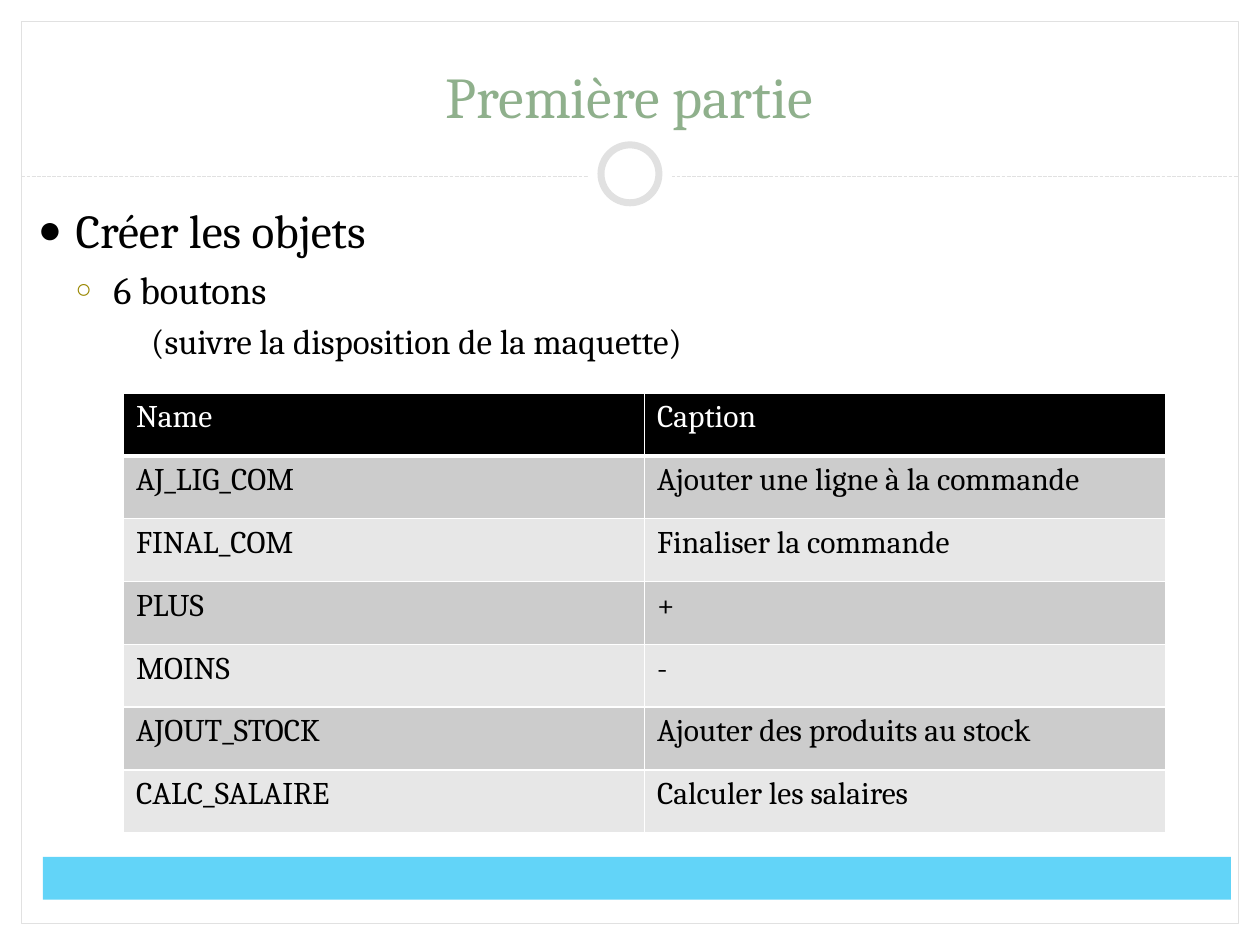
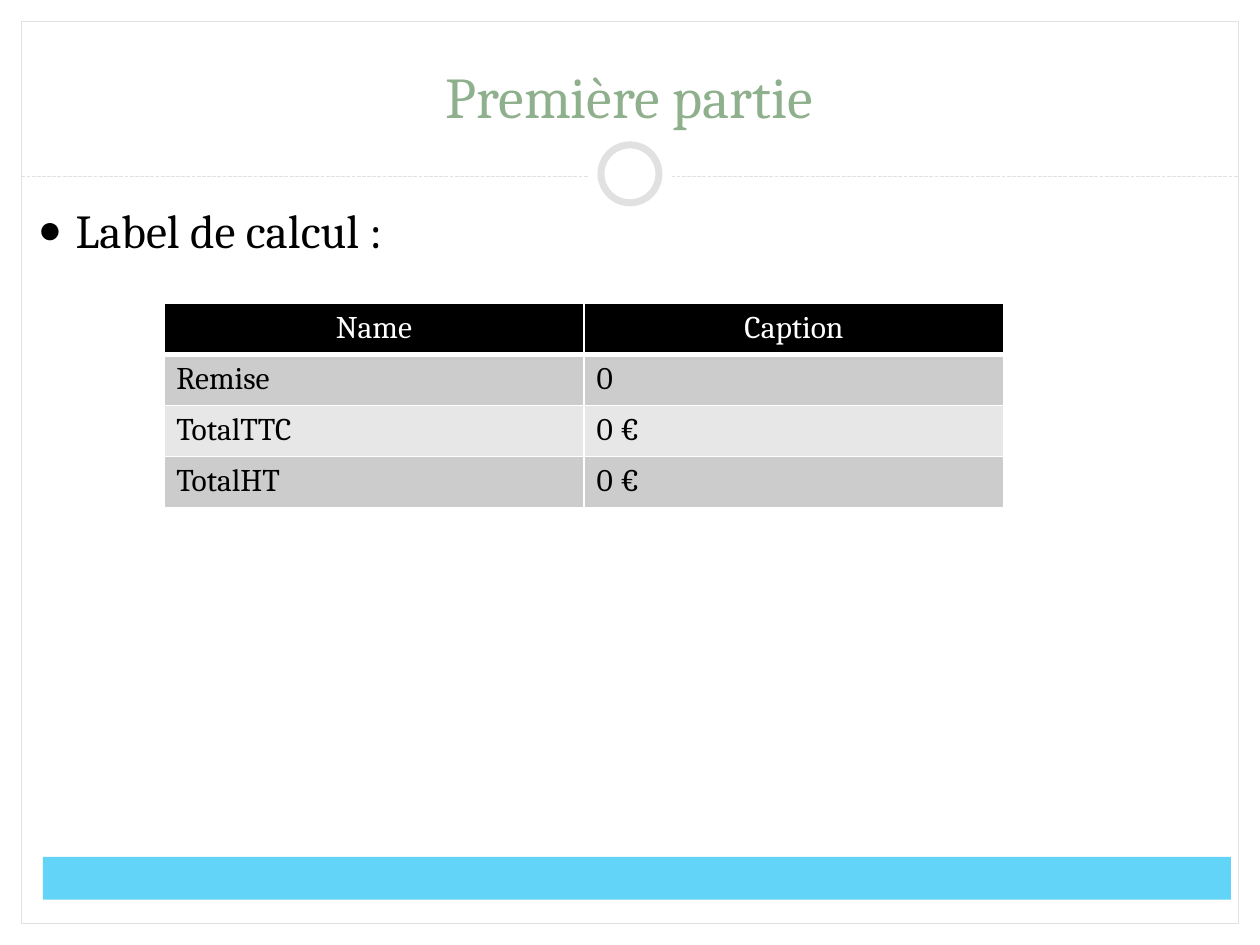
from lxml.etree import SubElement as Sub
from pptx import Presentation
from pptx.dml.color import RGBColor as Rgb
from pptx.enum.dml import MSO_LINE as Dash
from pptx.enum.shapes import MSO_CONNECTOR as Link, MSO_SHAPE as Form
from pptx.enum.text import MSO_ANCHOR as Anchor, MSO_AUTO_SIZE as Fit, PP_ALIGN as Align
from pptx.oxml.ns import qn
from pptx.util import Inches, Pt

FONT = "Cambria"
HUES = {
    "title": "8FB08C", "text": "000000", "white": "FFFFFF", "rule": "E1E1E1",
    "band": "62D4F8", "gold": "998700", "head": "000000",
    "dark": "CCCCCC", "light": "E7E7E7",
}
# For each list level: text size, left indent, first line, mark, mark colour, mark size
LEVELS = [
    (27, 0.3, -0.3, "●", "text", 85),
    (22, 0.6, -0.3, "○", "gold", 70),
    (20, 0.9, 0, None, None, None),
]
BUTTONS = [
    ("Name", "Caption"),
    ("AJ_LIG_COM", "Ajouter une ligne à la commande"),
    ("FINAL_COM", "Finaliser la commande"),
    ("PLUS", "+"),
    ("MOINS", "-"),
    ("AJOUT_STOCK", "Ajouter des produits au stock"),
    ("CALC_SALAIRE", "Calculer les salaires"),
]
LABELS = [
    ("Name", "Caption"),
    ("Remise", "0"),
    ("TotalTTC", "0 €"),
    ("TotalHT", "0 €"),
]


def hue(name):
    return Rgb.from_string(HUES[name])


def place(shape, box):
    shape.left, shape.top, shape.width, shape.height = map(Inches, box)


def style(para, size, color):
    para.font.name = FONT
    para.font.size = Pt(size)
    para.font.color.rgb = hue(color)


def stroke(line, width):
    line.color.rgb = hue("rule")
    line.width = Pt(width)


def add_form(slide, form, box, fill=None, width=None):
    shape = slide.shapes.add_shape(form, *map(Inches, box))
    shape.shadow.inherit = False
    if fill:
        shape.fill.solid()
        shape.fill.fore_color.rgb = hue(fill)
    else:
        shape.fill.background()
    if width:
        stroke(shape.line, width)
    else:
        shape.line.fill.background()
    return shape


def add_rule(slide, left, right, top):
    rule = slide.shapes.add_connector(
        Link.STRAIGHT, *map(Inches, (left, top, right, top)))
    stroke(rule.line, 0.75)
    rule.line.dash_style = Dash.SQUARE_DOT
    Sub(rule.element.spPr, qn("a:effectLst"))
    return rule


def add_frame(slide, box):
    """Draw the frame on a slide, then move it to the layout all slides share."""
    left, top, wide, high = box
    mid = left + wide / 2
    rings = [(0.67, None), (0.46, 4)]
    parts = [
        add_form(slide, Form.RECTANGLE, (left + 0.17, top + 6.63, 9.43, 0.34), "band"),
        add_form(slide, Form.RECTANGLE, box, width=0.75),
        add_rule(slide, left, left + wide, top + 1.23),
    ]
    for size, width in rings:
        spot = (mid - size / 2, top + 1.21 - size / 2, size, size)
        parts.append(add_form(slide, Form.OVAL, spot, "white", width))
    tree = slide.slide_layout.shapes.element
    for index, part in enumerate(parts):
        part.element.xpath(".//p:cNvPr")[0].set("id", str(20 + index))
        tree.insert(2 + index, part.element)


def set_title(slide, text, box):
    title = slide.shapes.title
    place(title, box)
    frame = title.text_frame
    frame.text = text
    frame.auto_size = Fit.NONE
    frame.vertical_anchor = Anchor.BOTTOM
    para = frame.paragraphs[0]
    para.alignment = Align.CENTER
    style(para, 33, "title")


def add_mark(para, left, first, mark, color, size):
    props = para._p.get_or_add_pPr()
    props.set("marL", str(Inches(left)))
    props.set("indent", str(Inches(first)))
    if mark is None:
        Sub(props, qn("a:buNone"))
        return
    paint = Sub(props, qn("a:buClr"))
    Sub(paint, qn("a:srgbClr"), val=HUES[color])
    Sub(props, qn("a:buSzPct"), val=str(size * 1000))
    Sub(props, qn("a:buChar"), char=mark)


def set_list(slide, lines, box):
    """Fill the body, each line one level deeper than the line before."""
    body = slide.placeholders[1]
    place(body, box)
    frame = body.text_frame
    frame.text = "\n".join(lines)
    frame.auto_size = Fit.NONE
    frame.paragraphs[0].space_before = Pt(0)
    for level, para in enumerate(frame.paragraphs):
        size, *mark = LEVELS[level]
        para.level = level
        add_mark(para, *mark)
        style(para, size, "text")


def set_edges(cell, base):
    """Add white cell borders, with the given width at the bottom."""
    props = cell._tc.get_or_add_tcPr()
    widths = {"lnL": 1, "lnR": 1, "lnT": 1, "lnB": base}
    for index, (side, width) in enumerate(widths.items()):
        edge = props.makeelement(qn(f"a:{side}"), {"w": str(Pt(width))})
        fill = Sub(edge, qn("a:solidFill"))
        Sub(fill, qn("a:srgbClr"), val=HUES["white"])
        props.insert(index, edge)


def add_grid(slide, rows, box, align):
    shape = slide.shapes.add_table(len(rows), len(rows[0]), *map(Inches, box))
    table = shape.table
    table.first_row = table.horz_banding = False
    for row, texts in enumerate(rows):
        head = row == 0
        fill = "head" if head else "dark" if row % 2 else "light"
        for col, text in enumerate(texts):
            cell = table.cell(row, col)
            cell.text = text
            cell.fill.solid()
            cell.fill.fore_color.rgb = hue(fill)
            set_edges(cell, 3 if head else 1)
            para = cell.text_frame.paragraphs[0]
            para.alignment = align if head else Align.LEFT
            style(para, 18, "white" if head else "text")


def add_page(deck, lines, width, rows, box, align):
    slide = deck.slides.add_slide(deck.slide_layouts[1])
    set_title(slide, "Première partie", (0.33, 0.25, 9.33, 0.83))
    set_list(slide, lines, (0.2, 1.55, width, 5.33))
    add_grid(slide, rows, box, align)
    return slide


def main():
    deck = Presentation()
    deck.slide_width, deck.slide_height = Inches(10), Inches(7.5)
    lines = ["Créer les objets", "6 boutons", "(suivre la disposition de la maquette)"]
    first = add_page(deck, lines, 8.17, BUTTONS, (0.98, 3.12, 8.27, 3.49), Align.LEFT)
    add_frame(first, (0.17, 0.17, 9.66, 7.16))
    add_page(deck, ["Label de calcul :"], 8.5, LABELS, (1.3, 2.41, 6.67, 1.62), Align.CENTER)
    deck.save("out.pptx")


if __name__ == "__main__":
    main()
